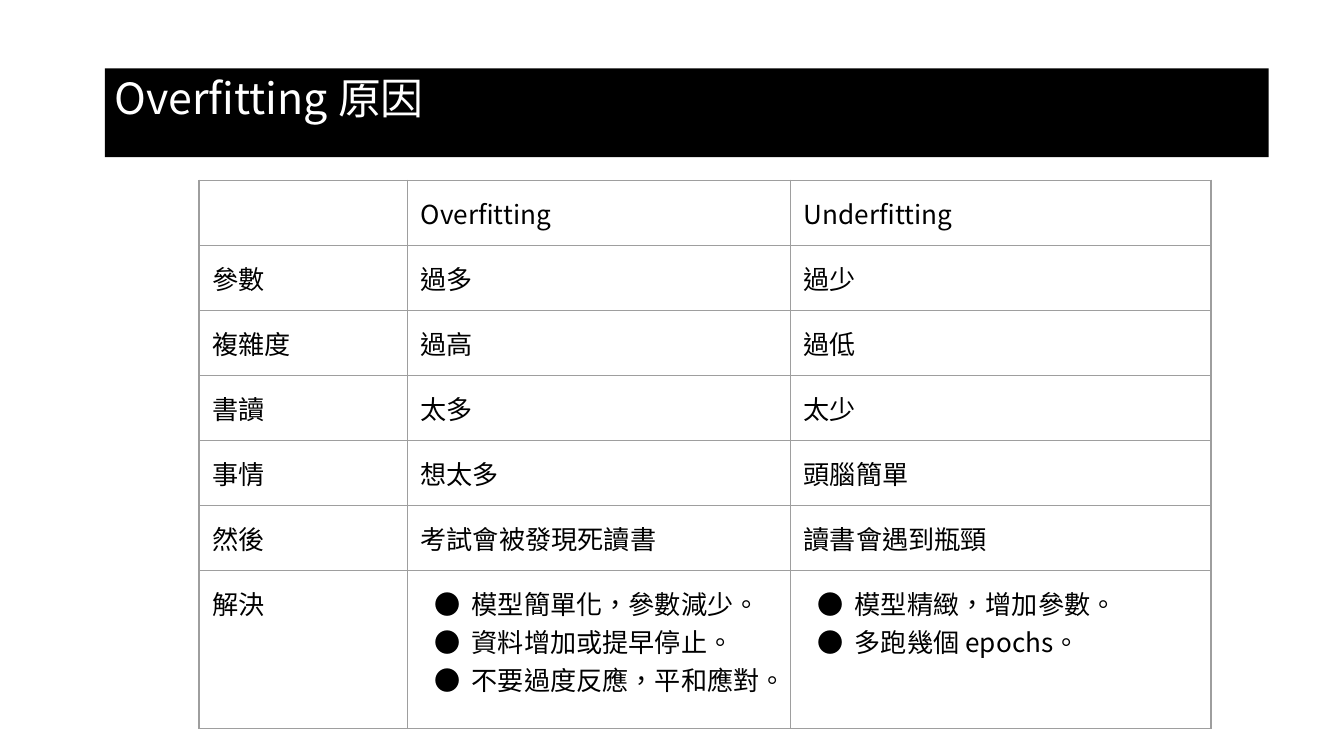
import pptx
import pptx.dml.color
import pptx.enum.lang
import pptx.enum.shapes
import pptx.enum.text
import pptx.oxml
import pptx.oxml.ns
import pptx.util
from lxml import etree
from pptx.util import Inches

BLACK = pptx.dml.color.RGBColor(0x00, 0x00, 0x00)
WHITE = pptx.dml.color.RGBColor(0xFF, 0xFF, 0xFF)
GREY = pptx.dml.color.RGBColor(0x9E, 0x9E, 0x9E)
FONT = "Noto Sans CJK TC"
LANGUAGE = pptx.enum.lang.MSO_LANGUAGE_ID.TRADITIONAL_CHINESE

COLUMN_WIDTHS = [1.55, 2.85, 3.13]
ROW_HEIGHTS = [0.44] + [0.4] * 5 + [1.18]

# A list in a cell stands for bulleted paragraphs
ROWS = [
    ["", "Overfitting", "Underfitting"],
    ["參數", "過多", "過少"],
    ["複雜度", "過高", "過低"],
    ["書讀", "太多", "太少"],
    ["事情", "想太多", "頭腦簡單"],
    ["然後", "考試會被發現死讀書", "讀書會遇到瓶頸"],
    ["解決",
     ["模型簡單化，參數減少。", "資料增加或提早停止。", "不要過度反應，平和應對。"],
     ["模型精緻，增加參數。", "多跑幾個 epochs。"]],
]


def add_element(parent, tag, **attributes):
    element = etree.SubElement(parent, pptx.oxml.ns.qn(tag))
    for name, value in attributes.items():
        element.set(name, str(value))
    return element


def set_font(paragraph, size, color):
    paragraph.font.size = pptx.util.Pt(size)
    paragraph.font.color.rgb = color
    paragraph.font.name = FONT
    # The East Asian typeface has no public property
    properties = paragraph._p.get_or_add_pPr().find(pptx.oxml.ns.qn("a:defRPr"))
    add_element(properties, "a:ea", typeface=FONT)
    # The language decides how Chinese punctuation is drawn
    for run in paragraph.runs:
        run.font.language_id = LANGUAGE


def add_bullet(paragraph):
    properties = paragraph._p.get_or_add_pPr()
    properties.set("marL", str(Inches(0.38)))
    properties.set("indent", str(Inches(-0.28)))
    color = add_element(properties, "a:buClr")
    add_element(color, "a:srgbClr", val=BLACK)
    add_element(properties, "a:buSzPts", val=1400)
    add_element(properties, "a:buFont", typeface=FONT)
    add_element(properties, "a:buChar", char="●")


def set_borders(cell):
    properties = cell._tc.get_or_add_tcPr()
    for side in ("L", "R", "T", "B"):
        line = add_element(properties, f"a:ln{side}", w=pptx.util.Pt(0.75))
        fill = add_element(line, "a:solidFill")
        add_element(fill, "a:srgbClr", val=GREY)


def set_insets(target, inset):
    target.margin_left = target.margin_right = Inches(inset)
    target.margin_top = target.margin_bottom = Inches(inset)


def fill_cell(cell, content):
    set_insets(cell, 0.1)
    set_borders(cell)
    cell.fill.background()
    bulleted = isinstance(content, list)
    cell.text = "\n".join(content) if bulleted else content
    for paragraph in cell.text_frame.paragraphs:
        if bulleted:
            add_bullet(paragraph)
        set_font(paragraph, 14, BLACK)


def add_comparison_table(slide):
    frame = slide.shapes.add_table(
        len(ROWS), len(COLUMN_WIDTHS), Inches(1.48), Inches(1.34),
        Inches(sum(COLUMN_WIDTHS)), Inches(sum(ROW_HEIGHTS)))
    table = frame.table
    table.first_row = False
    table.horz_banding = False
    for column, width in zip(table.columns, COLUMN_WIDTHS):
        column.width = Inches(width)
    for row, height, contents in zip(table.rows, ROW_HEIGHTS, ROWS):
        row.height = Inches(height)
        for cell, content in zip(row.cells, contents):
            fill_cell(cell, content)


def add_title_bar(slide, text):
    shape = slide.shapes.add_shape(
        pptx.enum.shapes.MSO_SHAPE.RECTANGLE,
        Inches(0.78), Inches(0.51), Inches(8.66), Inches(0.66))
    shape.shadow.inherit = False
    shape.fill.solid()
    shape.fill.fore_color.rgb = BLACK
    shape.line.fill.background()
    text_frame = shape.text_frame
    text_frame.word_wrap = True
    text_frame.vertical_anchor = pptx.enum.text.MSO_ANCHOR.TOP
    set_insets(text_frame, 0.07)
    paragraph = text_frame.paragraphs[0]
    paragraph.text = text
    paragraph.alignment = pptx.enum.text.PP_ALIGN.LEFT
    paragraph.line_spacing = 0.9
    set_font(paragraph, 23, WHITE)


def main():
    presentation = pptx.Presentation()
    # Widescreen, 16 to 9
    presentation.slide_width = Inches(10)
    presentation.slide_height = presentation.slide_width * 9 // 16
    slide = presentation.slides.add_slide(presentation.slide_layouts[6])

    # Comparison of the two problems
    add_comparison_table(slide)
    # Title
    add_title_bar(slide, "Overfitting 原因")

    presentation.save("out.pptx")


if __name__ == "__main__":
    main()
